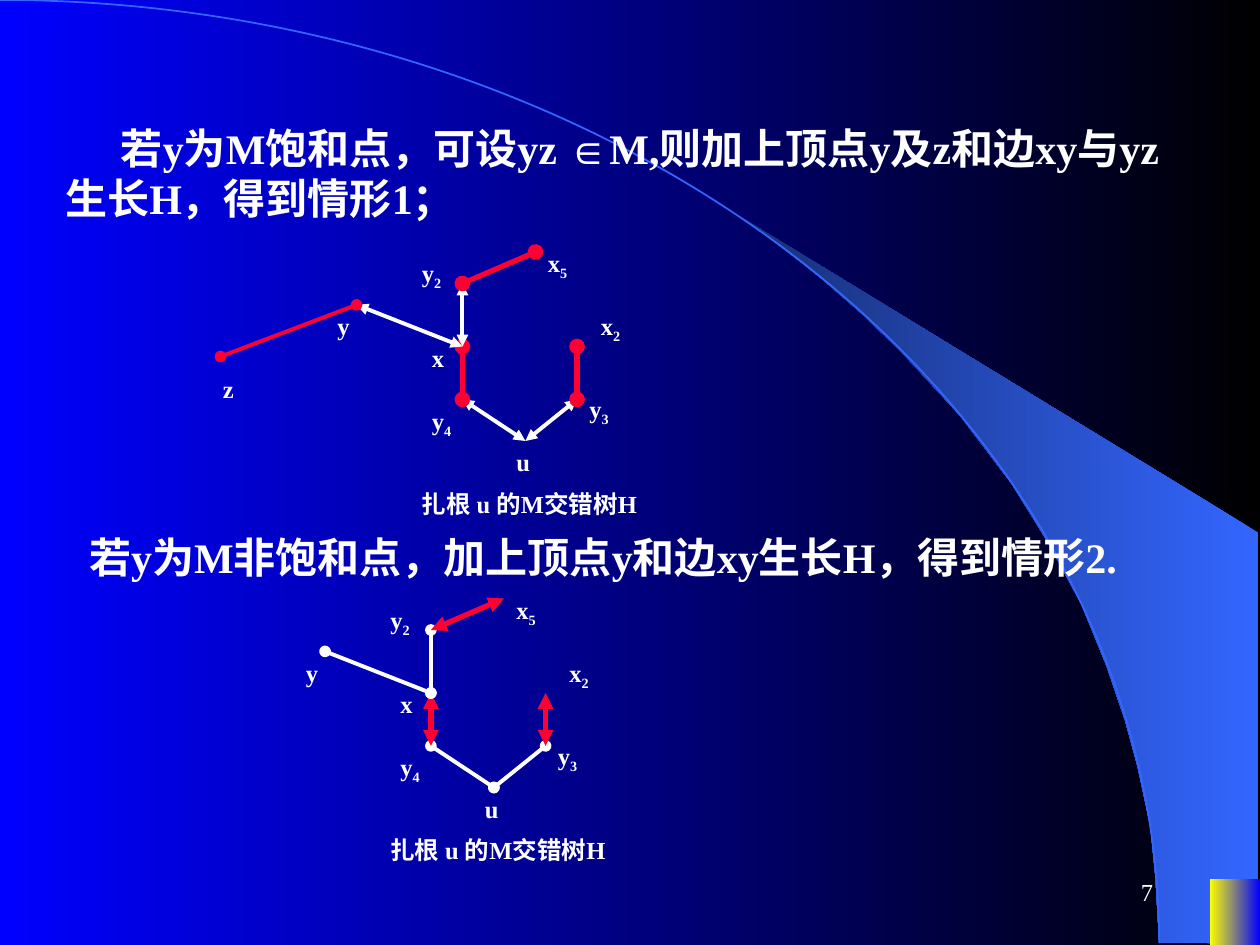
from pptx import Presentation
from pptx.dml.color import RGBColor
from pptx.enum.shapes import MSO_CONNECTOR, MSO_SHAPE
from pptx.enum.text import MSO_ANCHOR, MSO_AUTO_SIZE, PP_ALIGN
from pptx.oxml.ns import qn
from pptx.util import Inches, Pt
from lxml import etree

STRAIGHT = MSO_CONNECTOR.STRAIGHT
ARC, RECT = MSO_SHAPE.ARC, MSO_SHAPE.RECTANGLE
MIDDLE, RIGHT = MSO_ANCHOR.MIDDLE, PP_ALIGN.RIGHT
GROW = MSO_AUTO_SIZE.SHAPE_TO_FIT_TEXT
FONT = "Times New Roman"
COLORS = {"white": "FFFFFF", "red": "FF0033", "blue": "0000FF", "black": "000000",
          "yellow": "FFFF00", "sky": "3366FF", "navy": "172F75"}


def set_gradient(fill, first, last):
    fill.gradient()
    fill.gradient_angle = 180
    for stop, name in zip(fill.gradient_stops, (first, last)):
        stop.color.rgb = RGBColor.from_string(COLORS[name])


def add_text(x, y, w, h, text, size, bold=True, subscript=""):
    box = s.shapes.add_textbox(Inches(x), Inches(y), Inches(w), Inches(h))
    tf = box.text_frame
    tf.word_wrap = True
    tf.auto_size = GROW
    p = tf.paragraphs[0]
    p.font.name, p.font.size, p.font.bold = FONT, Pt(size), bold
    p.font.color.rgb = RGBColor.from_string(COLORS["white"])
    p.add_run().text = text
    if subscript:
        r = p.add_run()
        r.text = subscript
        r.font._element.set("baseline", "-25000")
    return tf


prs = Presentation()
prs.slide_width, prs.slide_height = Inches(10), Inches(7.5)
s = prs.slides.add_slide(prs.slide_layouts[6])
set_gradient(s.background.fill, "black", "blue")

crescent_points = [
    (9.2, 7.48), (9.99, 7.49), (9.99, 4.23), (5.89, 1.73), (6.24, 1.99), (6.53, 2.22),
    (6.85, 2.5), (7.16, 2.8), (7.62, 3.3), (8.03, 3.84), (8.32, 4.31), (8.58, 4.79),
    (8.78, 5.28), (8.93, 5.72), (9.03, 6.09), (9.13, 6.56), (9.17, 6.96)]
points = [(Inches(x), Inches(y)) for x, y in crescent_points]
builder = s.shapes.build_freeform(*points[0])
builder.add_line_segments(points[1:], close=True)
crescent = builder.convert_to_shape()
set_gradient(crescent.fill, "sky", "navy")

arc = s.shapes.add_shape(ARC, Inches(-9.2), Inches(0), Inches(18.4), Inches(14.97))
arc.fill.background()
arc.line.color.rgb = RGBColor.from_string(COLORS["sky"])
arc.line.width = Pt(1)

corner = s.shapes.add_shape(RECT, Inches(9.6), Inches(6.98), Inches(0.4), Inches(0.52))
set_gradient(corner.fill, "blue", "yellow")
for shape in (crescent, corner):
    shape.line.fill.background()
for shape in (crescent, arc, corner):
    shape.shadow.inherit = False

statements = [
    (0.42, 0.92, 0.44, "若y为M饱和点，可设yz ∈M,则加上顶点y及z和边xy与yz生长H，得到情形1；"),
    (0.25, 4.17, 0.36, "若y为M非饱和点，加上顶点y和边xy生长H，得到情形2."),
]
for x, y, indent, text in statements:
    p = add_text(x, y, 9.17, 0.97, text, 24).paragraphs[0]
    p.space_before = Pt(15)
    p._p.get_or_add_pPr().set("indent", str(Inches(indent)))

nodes = {"u": (4.17, 3.5), "y4": (3.67, 3.17), "x": (3.67, 2.75), "y2": (3.67, 2.25),
         "y3": (4.58, 3.17), "x2": (4.58, 2.75), "x5": (4.25, 2), "y": (2.83, 2.42),
         "z": (1.75, 2.83)}
edges = [("u", "y4", "white", 2.25), ("y4", "x", "red", 3), ("x", "y2", "white", 2.25),
         ("u", "y3", "white", 2.25), ("y3", "x2", "red", 3), ("y2", "x5", "red", 3),
         ("x", "y", "white", 2.25), ("y", "z", "red", 2.25)]
labels = {"x": (3.33, 2.67), "u": (4, 3.5), "x2": (4.67, 2.42), "y4": (3.33, 3.17),
          "y3": (4.58, 3.08), "y2": (3.25, 2), "x5": (4.25, 1.92), "y": (2.58, 2.42),
          "z": (1.67, 2.92)}
trees = [
    (0, 0, {"white": "triangle", "red": "oval"}, ""),
    (-0.25, 2.75, {"white": "oval", "red": "triangle"}, "z"),
]
for dx, dy, ends, missing in trees:
    for start, end, color, width in edges:
        if end == missing:
            continue
        (x1, y1), (x2, y2) = nodes[start], nodes[end]
        edge = s.shapes.add_connector(STRAIGHT, Inches(x1 + dx), Inches(y1 + dy),
                                      Inches(x2 + dx), Inches(y2 + dy))
        edge.line.color.rgb = RGBColor.from_string(COLORS[color])
        edge.line.width = Pt(width)
        for tag in ("a:headEnd", "a:tailEnd"):
            etree.SubElement(edge.line._get_or_add_ln(), qn(tag), type=ends[color])
        etree.SubElement(edge._element.spPr, qn("a:effectLst"))
    for name, (x, y) in labels.items():
        if name != missing:
            add_text(x + dx, y + dy, 0.6 if name == "x5" else 0.43,
                     0.37 if name[1:] else 0.34, name[0], 14, subscript=name[1:])
    add_text(3.25 + dx, 3.83 + dy, 2.25, 0.37, "扎根 u 的M交错树H", 14)

tf = add_text(7.17, 6.83, 2.08, 0.5, "7", 14, bold=False)
tf.auto_size = MSO_AUTO_SIZE.NONE
tf.vertical_anchor = MIDDLE
tf.paragraphs[0].alignment = RIGHT

prs.save("out.pptx")
